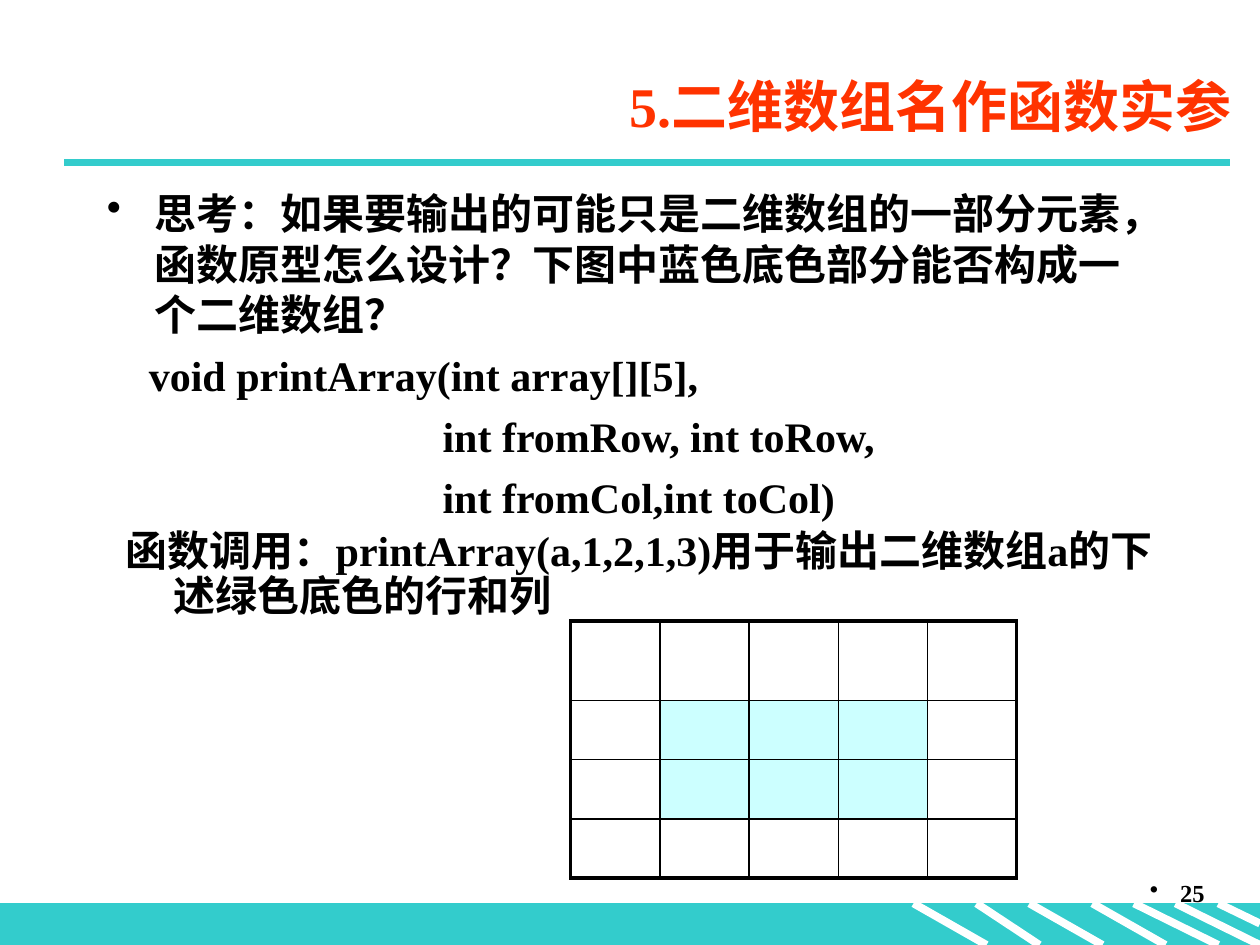
"""Build the slide on passing a two-dimensional array to a function."""
from dataclasses import dataclass

from lxml import etree
from pptx import Presentation
from pptx import util as u
from pptx.dml.color import RGBColor
from pptx.enum import shapes, text
from pptx.oxml import ns

TEAL = RGBColor(0x33, 0xCC, 0xCC)
WHITE = RGBColor(0xFF, 0xFF, 0xFF)
BLACK = RGBColor(0x00, 0x00, 0x00)
RED = RGBColor(0xFF, 0x33, 0x00)
PALE = RGBColor(0xCC, 0xFF, 0xFF)
FONT = "Times New Roman"
TOP, END = 7.17, 7.5


@dataclass(frozen=True)
class Line:
    x1: float
    y1: float
    x2: float
    y2: float
    color: RGBColor = WHITE


@dataclass(frozen=True)
class Para:
    words: str
    bullet: bool = False


LINES = [
    Line(7.75, TOP, 8.25, END),
    Line(7.25, TOP, 7.83, END),
    Line(8.17, TOP, 8.75, END),
    Line(9.33, TOP, 10, END),
    Line(9, TOP, 9.67, END),
    Line(9.67, TOP, 10, 7.33),
    Line(8.67, TOP, 9.25, END),
    Line(0.51, 1.29, 9.76, 1.29, TEAL),
]

BODY = [
    Para("思考：如果要输出的可能只是二维数组的一部分元素，"
         "函数原型怎么设计？下图中蓝色底色部分能否构成一个二维数组？", True),
    Para("    void printArray(int array[][5],"),
    Para(" " * 32 + "int fromRow, int toRow,"),
    Para(" " * 32 + "int fromCol,int toCol)"),
]
CALL = [Para("函数调用：printArray(a,1,2,1,3)用于输出二维数组a的下述绿色底色的行和列")]


def add_band(slide) -> None:
    band = slide.shapes.add_shape(
        shapes.MSO_SHAPE.RECTANGLE, u.Inches(0), u.Inches(TOP),
        u.Inches(10), u.Inches(END - TOP))
    band.shadow.inherit = False
    band.fill.solid()
    band.fill.fore_color.rgb = TEAL
    band.line.color.rgb = TEAL
    band.line.width = u.Pt(0.75)


def add_line(slide, line: Line) -> None:
    ends = [u.Inches(v) for v in (line.x1, line.y1, line.x2, line.y2)]
    link = slide.shapes.add_connector(shapes.MSO_CONNECTOR.STRAIGHT, *ends)
    link.line.color.rgb = line.color
    link.line.width = u.Pt(4.5)
    etree.SubElement(link._element.spPr, ns.qn("a:effectLst"))


def add_text(slide, paras: list[Para], *, at: tuple, size: int = 24,
             color: RGBColor = BLACK, align=text.PP_ALIGN.LEFT,
             anchor=text.MSO_ANCHOR.TOP, hang: float = 0,
             gap: float = 0, pitch: float = 1) -> None:
    frame = slide.shapes.add_textbox(*(u.Inches(v) for v in at)).text_frame
    frame.word_wrap = True
    frame.vertical_anchor = anchor
    for i, item in enumerate(paras):
        para = frame.add_paragraph() if i else frame.paragraphs[0]
        para.text = item.words
        para.alignment = align
        para.line_spacing = pitch
        para.space_before = u.Pt(gap if i else 0)
        props = para._p.get_or_add_pPr()
        props.set("marL", str(u.Inches(hang)))
        props.set("indent", str(-u.Inches(hang)))
        if item.bullet:
            etree.SubElement(props, ns.qn("a:buChar"), char="•")
        for run in para.runs:
            run.font.name = FONT
            run.font.size = u.Pt(size)
            run.font.bold = True
            run.font.color.rgb = color


def set_edge(cell, side: str, order: int, width: float) -> None:
    props = cell._tc.get_or_add_tcPr()
    edge = etree.Element(ns.qn(f"a:ln{side}"), w=str(u.Pt(width)))
    fill = etree.SubElement(edge, ns.qn("a:solidFill"))
    etree.SubElement(fill, ns.qn("a:srgbClr"), val=str(BLACK))
    props.insert(order, edge)


def add_grid(slide) -> None:
    rows, cols = [0.63, 0.47, 0.47, 0.47], 5
    grid = slide.shapes.add_table(
        len(rows), cols, u.Inches(4.53), u.Inches(4.93),
        u.Inches(3.54), u.Inches(sum(rows))).table
    grid.first_row = grid.horz_banding = False
    for col in grid.columns:
        col.width = u.Inches(3.54 / cols)
    for r, high in enumerate(rows):
        grid.rows[r].height = u.Inches(high)
        for c in range(cols):
            cell = grid.cell(r, c)
            if r in (1, 2) and c in (1, 2, 3):
                cell.fill.solid()
                cell.fill.fore_color.rgb = PALE
            else:
                cell.fill.background()
            outer = {"L": c == 0, "R": c == cols - 1,
                     "T": r == 0, "B": r == len(rows) - 1}
            for order, (side, rim) in enumerate(outer.items()):
                set_edge(cell, side, order, 2.25 if rim else 1)


def main() -> None:
    deck = Presentation()
    deck.slide_width, deck.slide_height = u.Inches(10), u.Inches(7.5)
    slide = deck.slides.add_slide(deck.slide_layouts[6])
    add_band(slide)
    for line in LINES:
        add_line(slide, line)
    add_text(slide, [Para("25", True)], at=(7.58, 6.92, 2.08, 0.5), size=14,
             align=text.PP_ALIGN.RIGHT, hang=0.24)
    add_text(slide, [Para("5.二维数组名作函数实参")], at=(1.38, 0.44, 8.5, 0.79),
             size=32, color=RED, align=text.PP_ALIGN.RIGHT,
             anchor=text.MSO_ANCHOR.MIDDLE)
    add_text(slide, BODY, at=(0.75, 1.44, 8.42, 5.04), hang=0.38, gap=6)
    add_grid(slide)
    add_text(slide, CALL, at=(0.9, 4.16, 8.43, 0.82), hang=0.38, pitch=0.9)
    deck.save("out.pptx")


if __name__ == "__main__":
    main()
